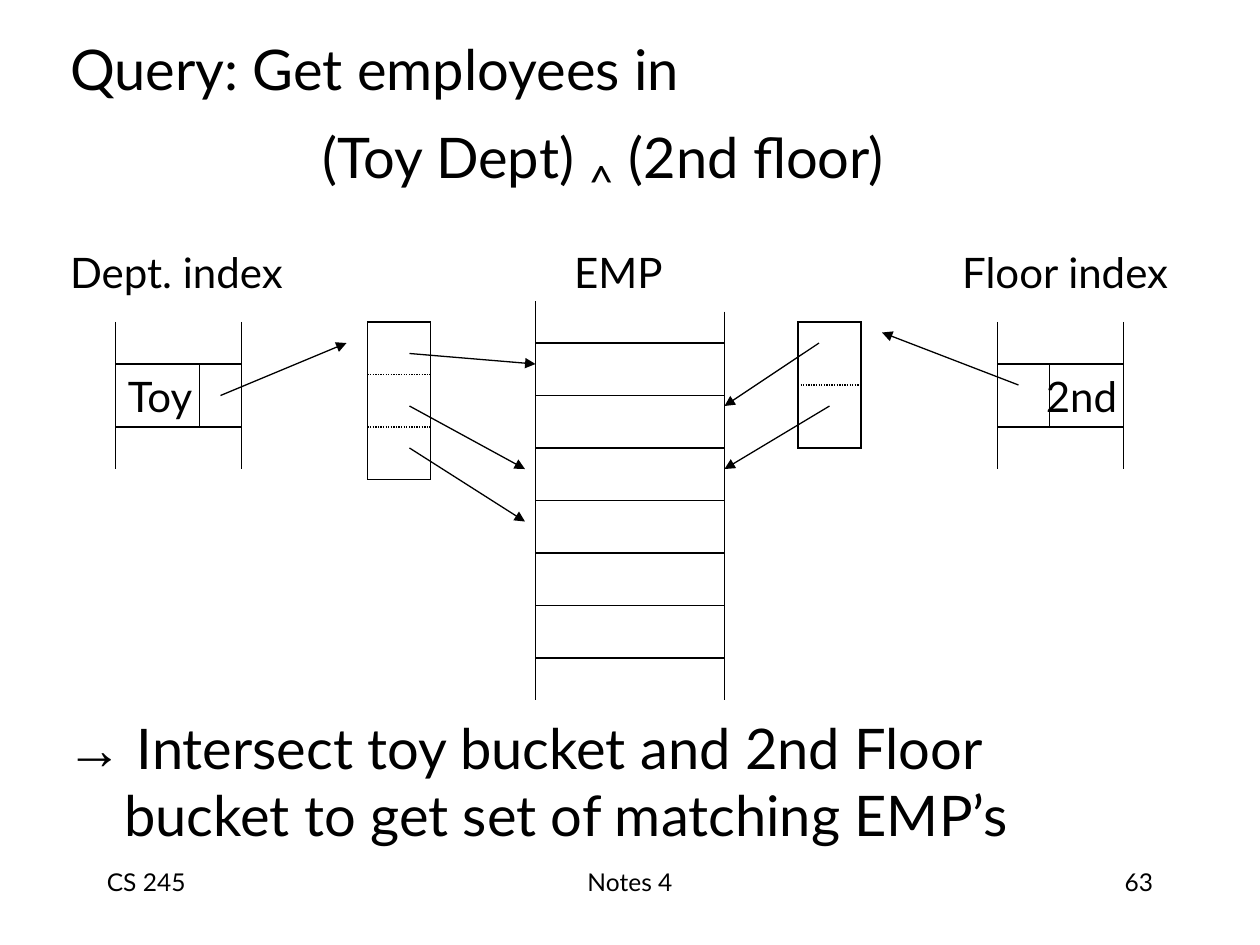
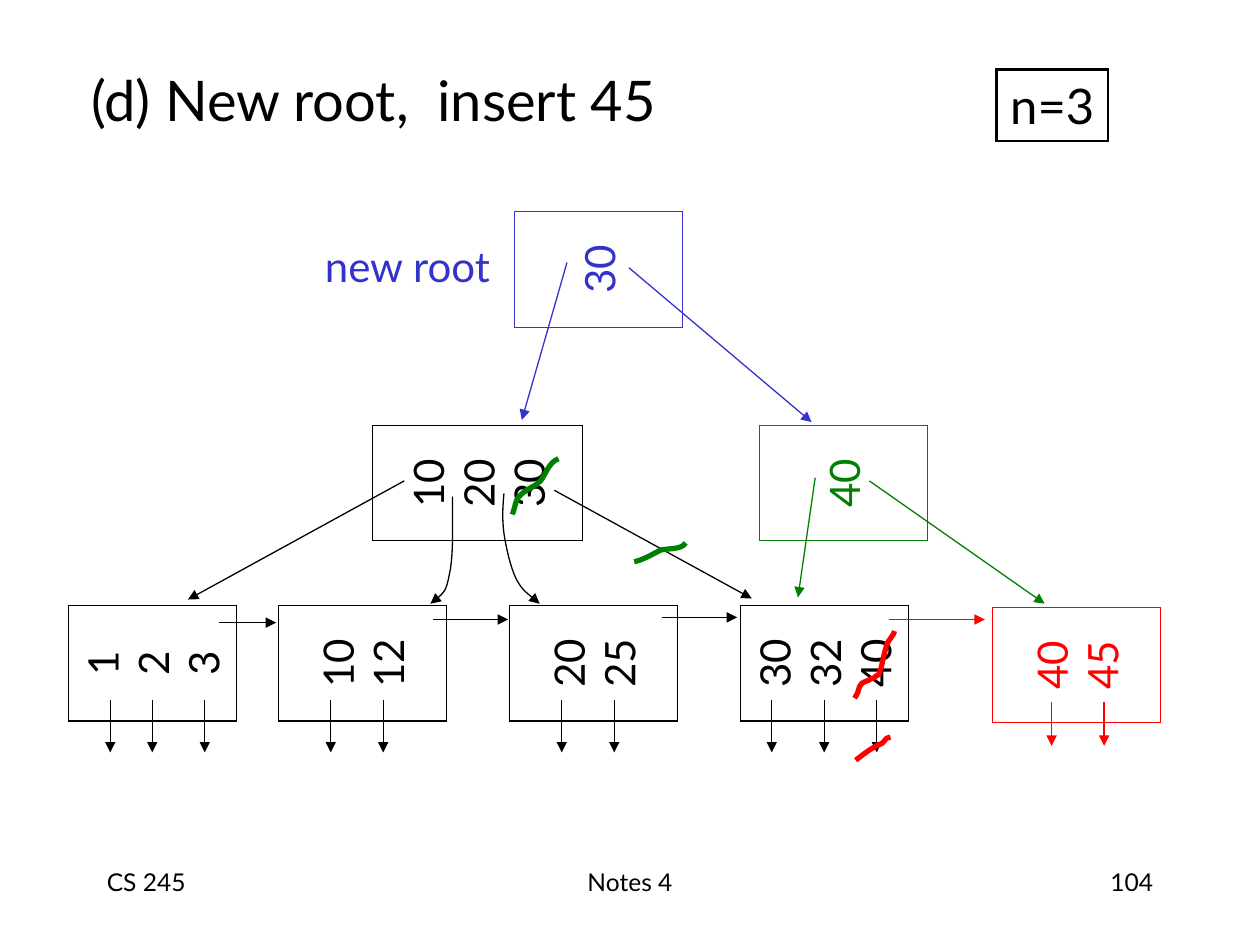
from lxml import etree
from pptx import Presentation
from pptx.dml.color import RGBColor
from pptx.enum.dml import MSO_LINE
from pptx.enum.shapes import MSO_CONNECTOR, MSO_SHAPE
from pptx.enum.text import MSO_ANCHOR, PP_ALIGN
from pptx.oxml.ns import qn
from pptx.util import Inches, Pt

BLACK = RGBColor(0x00, 0x00, 0x00)
WHITE = RGBColor(0xFF, 0xFF, 0xFF)
RED = RGBColor(0xFF, 0x00, 0x00)
GREEN = RGBColor(0x00, 0x80, 0x00)
BLUE = RGBColor(0x33, 0x33, 0xCC)
FONT = "Lato"
TITLE_SIZE, LABEL_SIZE, FOOTER_SIZE = 32, 24, 14
THIN, THICK = 0.75, 3
LEFT, CENTER, RIGHT = PP_ALIGN.LEFT, PP_ALIGN.CENTER, PP_ALIGN.RIGHT
TOP, MIDDLE = MSO_ANCHOR.TOP, MSO_ANCHOR.MIDDLE

COLS, ROWS = 120, 90       # slide grid, twelve cells to the inch
INDEX_TOP = 30.67          # row where the index diagram starts
EMP_X, EMP_W, EMP_ROW_H = 51, 18, 5
LEAF_TOP, NODE_W, NODE_H = 57.66, 16, 11


def grid(cells):
    return Inches(cells / 12)


def style_run(r, size, color=BLACK, font=FONT):
    r.font.size, r.font.name = Pt(size), font
    r.font.color.rgb = color


def set_text(sp, lines, size, color=BLACK, align=LEFT, anchor=MIDDLE, wrap=True):
    tf = sp.text_frame
    tf.word_wrap, tf.vertical_anchor = wrap, anchor
    tf.text = "\n".join(lines)
    for p in tf.paragraphs:
        p.alignment = align
        for r in p.runs:
            style_run(r, size, color)
    return tf


def add_text(slide, x, y, w, h, lines, size, **style):
    sp = slide.shapes.add_textbox(grid(x), grid(y), grid(w), grid(h))
    return set_text(sp, lines, size, **style)


def indent(p, left, first=0):
    pPr = p._p.get_or_add_pPr()
    pPr.set("marL", str(Inches(left)))
    pPr.set("indent", str(Inches(first)))


def add_tab_stops(p, *stops):
    tabs = etree.SubElement(p._p.get_or_add_pPr(), qn("a:tabLst"))
    for stop in stops:
        etree.SubElement(tabs, qn("a:tab"), pos=str(Inches(stop)), algn="l")


def add_box(slide, x, y, w, h, color=BLACK, fill=WHITE, width=THIN):
    sp = slide.shapes.add_shape(MSO_SHAPE.RECTANGLE, grid(x), grid(y), grid(w), grid(h))
    sp.shadow.inherit = False
    if fill is None:
        sp.fill.background()
    else:
        sp.fill.solid()
        sp.fill.fore_color.rgb = fill
    sp.line.color.rgb, sp.line.width = color, Pt(width)
    etree.SubElement(sp.line._get_or_add_ln(), qn("a:miter"), lim="800000")
    return sp


def add_arrowhead(sp):
    etree.SubElement(sp.line._get_or_add_ln(), qn("a:tailEnd"), type="triangle")


def add_line(slide, start, end, color=BLACK, arrow=False, dotted=False):
    c = slide.shapes.add_connector(MSO_CONNECTOR.STRAIGHT, *map(grid, start + end))
    c.line.color.rgb, c.line.width = color, Pt(THIN)
    if dotted:
        c.line.dash_style = MSO_LINE.ROUND_DOT
    if arrow:
        add_arrowhead(c)
    etree.SubElement(c._element.spPr, qn("a:effectLst"))


def bend_segments(sp):
    """Turn each three straight segments of a freeform into one cubic curve."""
    outline = next(sp._element.iter(qn("a:path")))
    segments = outline.findall(qn("a:lnTo"))
    for i in range(0, len(segments), 3):
        curve = etree.SubElement(outline, qn("a:cubicBezTo"))
        for segment in segments[i:i + 3]:
            curve.append(segment[0])
            outline.remove(segment)


def add_curve(slide, points, color=BLACK, width=THIN, arrow=False):
    """Chain of cubic curves: a start, then three points for each curve."""
    start, *rest = [tuple(map(grid, point)) for point in points]
    fb = slide.shapes.build_freeform(*start)
    fb.add_line_segments(rest, close=False)
    sp = fb.convert_to_shape()
    bend_segments(sp)
    sp.shadow.inherit = False
    sp.fill.background()
    sp.line.color.rgb, sp.line.width = color, Pt(width)
    if arrow:
        add_arrowhead(sp)


def add_footer(slide, number):
    for x, w, text, align in ((9, 25, "CS 245", LEFT), (41, 38, "Notes 4", CENTER),
                              (86, 25, number, RIGHT)):
        add_text(slide, x, 82, w, 6, [text], FOOTER_SIZE, align=align, anchor=TOP)


def new_slide(prs, number):
    slide = prs.slides.add_slide(prs.slide_layouts[6])
    add_footer(slide, number)
    return slide


def row(r):
    return INDEX_TOP + r


def add_index_lines(slide, *lines, **style):
    """Lines given as x1, row1, x2, row2 of the index diagram."""
    for x1, r1, x2, r2 in lines:
        add_line(slide, (x1, row(r1)), (x2, row(r2)), **style)


def add_index_entry(slide, x, divider, key, align):
    sp = add_box(slide, x, row(4), 12, 6)
    tf = set_text(sp, [key], LABEL_SIZE, align=align, wrap=False)
    tf.margin_right = Inches(0.05)
    for side in (x, x + 12):
        add_index_lines(slide, (side, 0, side, 4), (side, 10, side, 14))
    add_index_lines(slide, (divider, 4, divider, 10))


def add_bucket(slide, x, h, slots):
    add_box(slide, x, row(0), 6, h)
    for i in range(1, slots):
        r = i * h / slots
        add_index_lines(slide, (x, r, x + 6, r), dotted=True)


def add_emp_file(slide):
    for i in range(6):
        add_box(slide, EMP_X, row(2 + i * EMP_ROW_H), EMP_W, EMP_ROW_H)
    right = EMP_X + EMP_W
    add_index_lines(slide, (EMP_X, 32, EMP_X, 36), (right, 32, right, 36),
                    (EMP_X, -2, EMP_X, 2), (right, -1, right, 3))


def build_query_slide(prs):
    slide = new_slide(prs, "63")
    tf = add_text(slide, 5.5, 4, 102, 15,
                  ["Query: Get employees in", "(Toy Dept) "], TITLE_SIZE)
    p = tf.paragraphs[1]
    indent(p, 2)
    r = p.add_run()
    r.text = "^"
    style_run(r, 44)
    r.font._element.set("baseline", "-25000")
    r = p.add_run()
    r.text = " (2nd floor)"
    style_run(r, TITLE_SIZE)

    tf = add_text(slide, 5.5, 22.87, 108.4, 6, ["Dept. index\tEMP\tFloor index"], LABEL_SIZE)
    add_tab_stops(tf.paragraphs[0], 4, 7.08)

    add_emp_file(slide)
    add_bucket(slide, 35, 15, 3)
    add_bucket(slide, 76, 12, 2)
    add_index_entry(slide, 11, 19, "Toy", LEFT)
    add_index_entry(slide, 95, 99.96, "2nd", RIGHT)
    add_index_lines(slide, (78, 2, 69, 8), (79, 8, 69, 14), (97, 6, 84, 1), (21, 7, 33, 2),
                    (39, 3, 51, 4), (39, 8, 50, 14), (39, 12, 50, 19), arrow=True)

    tf = add_text(slide, 5.14, 66.87, 109, 15, ["→"], TITLE_SIZE)
    p = tf.paragraphs[0]
    indent(p, 0.46, -0.46)
    p.runs[0].font.name = "Arial"
    for i, text in enumerate((" Intersect toy bucket and 2nd Floor",
                              "bucket to get set of matching EMP’s")):
        if i:
            p.add_line_break()
        r = p.add_run()
        r.text = text
        style_run(r, TITLE_SIZE)


def add_node(slide, x, y, keys, color=BLACK, w=NODE_W):
    """Tree node whose keys read upwards: an upright box turned a quarter left."""
    shift = (w - NODE_H) / 2
    sp = add_box(slide, x + shift, y - shift, NODE_H, w, color)
    sp.rotation = 270
    set_text(sp, keys, LABEL_SIZE, color=color, align=CENTER, wrap=False)


def add_leaf(slide, x, keys, pointers, color=BLACK, y=LEAF_TOP, length=5):
    add_node(slide, x, y, keys, color)
    top = y + 9
    for dx in pointers:
        add_line(slide, (x + dx, top), (x + dx, top + length), color, arrow=True)


def add_arrows(slide, color, *arrows):
    for start, end in arrows:
        add_line(slide, start, end, color, arrow=True)


def build_new_root_slide(prs):
    slide = new_slide(prs, "104")
    add_text(slide, 7.5, 5.64, 63.7, 8.6, ["(d) New root,  insert 45"], TITLE_SIZE, anchor=TOP)
    order = add_box(slide, 94.92, 6.6, 10.6, 6.84, fill=None, width=1.5)
    set_text(order, ["n=3"], 28, align=CENTER, wrap=False)

    add_node(slide, 35.5, 40.5, ["10", "20", "30"], w=20)
    add_leaf(slide, 6.5, ["1", "2", "3"], (4, 8, 13))
    add_leaf(slide, 26.5, ["10", "12"], (5, 10))
    add_leaf(slide, 48.5, ["20", "25"], (5, 10))
    add_leaf(slide, 70.5, ["30", "32", "40"], (3, 8, 13))
    add_arrows(slide, BLACK, ((38.5, 45.8), (17.9, 57.1)), ((52.8, 46.7), (71.6, 57)),
               ((20.9, 59.3), (26.3, 59.3)), ((41.2, 59), (48.4, 59)),
               ((63, 58.8), (70.2, 58.8)))
    add_curve(slide, [(43.1, 47.3), (43.1, 50.2), (43.2, 53), (42.8, 54.7),
                      (42.5, 56.4), (41.8, 56.9), (41, 57.5)], arrow=True)
    add_curve(slide, [(48, 47), (47.9, 48.1), (47.8, 49.3), (48, 50.8),
                      (48.2, 52.1), (48.6, 54), (49.2, 55.2),
                      (49.8, 56.3), (51, 57.1), (51.4, 57.5)], arrow=True)

    add_leaf(slide, 94.5, ["40", "45"], (5.66, 10.66), RED, y=57.84, length=4.2)
    add_arrows(slide, RED, ((84.7, 59), (93.8, 59)))
    add_curve(slide, [(81.4, 66.5), (82.1, 65.4), (81.5, 65.2), (82.7, 64.8),
                      (82.8, 64.7), (83, 64.6), (83.2, 64.6),
                      (83.3, 64.4), (83.5, 64.4), (83.6, 64.3),
                      (83.8, 64.2), (83.8, 63.8), (83.9, 63.7),
                      (84.1, 62.9), (84.2, 62.2), (84.5, 61.3),
                      (84.6, 61), (85.2, 60.4), (85.2, 60.1)], RED, THICK)
    add_curve(slide, [(81.5, 72.4), (82.3, 71.8), (83, 71.2), (84, 70.8),
                      (84.6, 70.2), (84.2, 70.4), (84.8, 70.2)], RED, THICK)

    add_node(slide, 72.32, 40.5, ["40"], GREEN)
    add_arrows(slide, GREEN, ((77.64, 45.5), (76, 56.9)), ((82.8, 45.8), (99.5, 57.5)))
    add_curve(slide, [(48.8, 49), (49.2, 47.9), (49, 47.5), (50, 46.8),
                      (50.3, 46.6), (50.6, 46.4), (51, 46.2),
                      (51.1, 46.1), (51.5, 45.8), (51.5, 45.8),
                      (52, 45.1), (52.3, 44), (53.2, 43.7)], GREEN, THICK)
    add_curve(slide, [(60.4, 53.5), (61.3, 53.3), (61.9, 52.9), (62.9, 52.4),
                      (63.5, 52.2), (64.9, 52.4), (65.3, 51.7)], GREEN, THICK)

    add_node(slide, 49, 20.16, ["30"], BLUE)
    add_arrows(slide, BLUE, ((54, 25), (49.7, 40)), ((59.9, 25.5), (77.3, 40.2)))
    add_text(slide, 29.2, 22.3, 19.2, 6, ["new root"], LABEL_SIZE, color=BLUE,
             align=CENTER, wrap=False)


def main():
    prs = Presentation()
    prs.slide_width, prs.slide_height = grid(COLS), grid(ROWS)
    build_query_slide(prs)
    build_new_root_slide(prs)
    prs.save("out.pptx")


if __name__ == "__main__":
    main()
